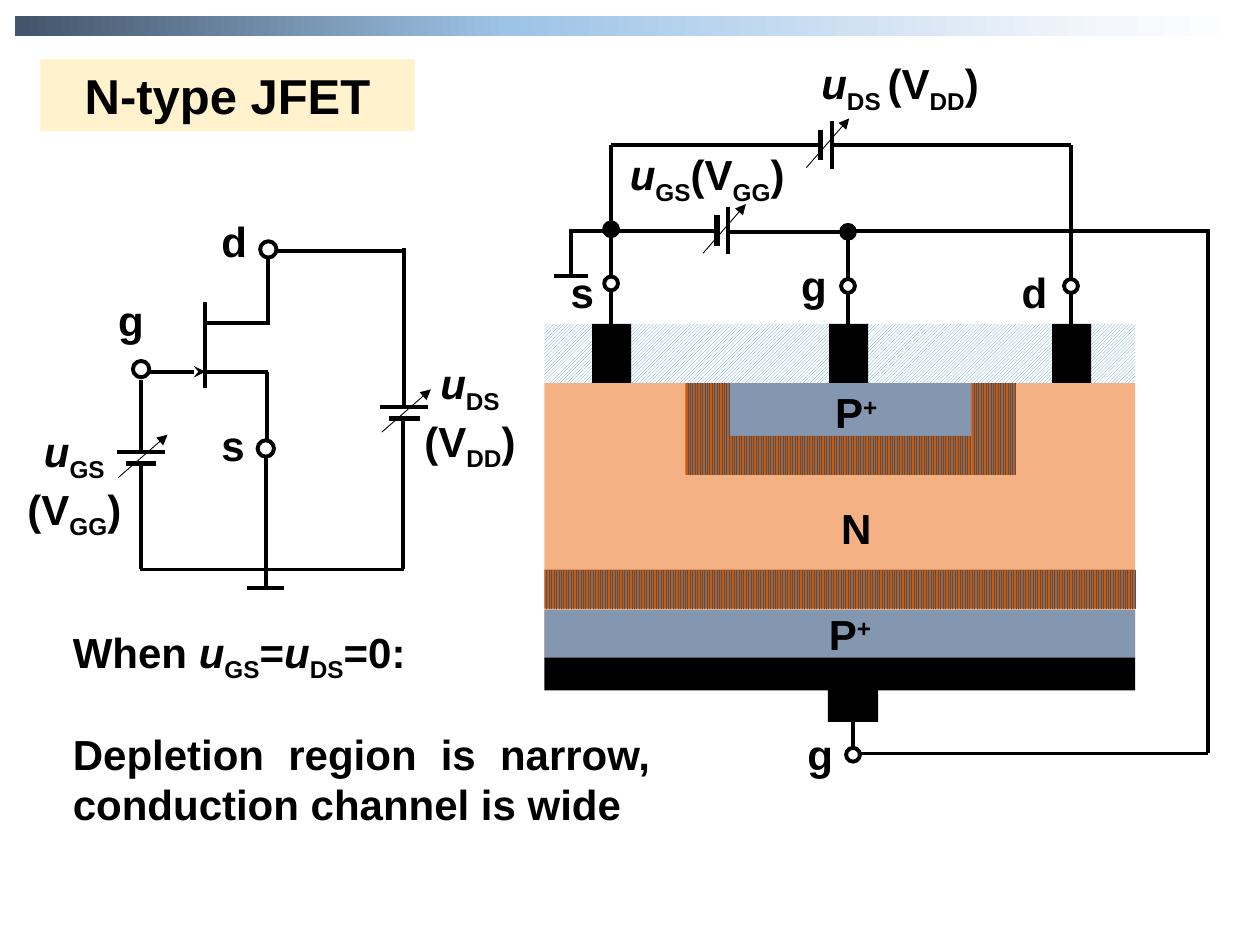
from copy import deepcopy

from lxml import etree
from pptx import Presentation
from pptx.dml.color import RGBColor
from pptx.enum.dml import MSO_PATTERN as Pattern
from pptx.enum.shapes import MSO_CONNECTOR as Connector, MSO_SHAPE as Shape
from pptx.enum.text import MSO_ANCHOR as Anchor, MSO_AUTO_SIZE as AutoSize, PP_ALIGN as Align
from pptx.oxml.ns import qn
from pptx.util import Inches, Pt

BLACK = RGBColor(0x00, 0x00, 0x00)
WHITE = RGBColor(0xFF, 0xFF, 0xFF)
SLATE = RGBColor(0x44, 0x54, 0x6A)
SKY = RGBColor(0x9D, 0xC3, 0xE6)
PALE = RGBColor(0xF4, 0xF7, 0xFC)
CREAM = RGBColor(0xFF, 0xF2, 0xCC)
BLUE = RGBColor(0x5B, 0x9B, 0xD5)
N_ORANGE = RGBColor(0xF4, 0xB1, 0x83)
P_BLUE = RGBColor(0x84, 0x97, 0xB0)
RUST = RGBColor(0xC5, 0x5A, 0x11)

BASELINES = {"sub": "-25000", "sup": "30000"}
U_GS = [("u", "italic"), ("GS", "sub")]
U_DS = [("u", "italic"), ("DS", "sub")]
V_GG = [("(V", ""), ("GG", "sub"), (")", "")]
V_DD = [("(V", ""), ("DD", "sub"), (")", "")]
P_PLUS = [("P", ""), ("+", "sup")]


def format_run(run, size=24, style=""):
    run.font.name = "Arial"
    run.font.size = Pt(size)
    run.font.bold = True
    run.font.italic = style == "italic"
    run.font.color.rgb = BLACK
    if style in BASELINES:
        run.font._element.set("baseline", BASELINES[style])


class Region:
    def __init__(self, slide, left, top):
        self.shapes, self.left, self.top = slide.shapes, left, top

    def place(self, x, y):
        return Inches(self.left + x), Inches(self.top + y)

    def box(self, x, y, width, height, color=None, kind=Shape.RECTANGLE):
        shape = self.shapes.add_shape(kind, *self.place(x, y), Inches(width), Inches(height))
        shape.shadow.inherit = False
        shape.line.fill.background()
        if color is not None:
            shape.fill.solid()
            shape.fill.fore_color.rgb = color
        return shape

    def hatch(self, x, y, width, height, pattern, front, back):
        fill = self.box(x, y, width, height).fill
        fill.patterned()
        fill.pattern = pattern
        fill.fore_color.rgb = front
        fill.back_color.rgb = back

    def ring(self, x, y, size=0.11, color=WHITE):
        shape = self.box(x - size / 2, y - size / 2, size, size, color, Shape.OVAL)
        shape.line.color.rgb = BLACK
        shape.line.width = Pt(2.25)

    def wire(self, x1, y1, x2, y2, width=2.25, arrow=None):
        line = self.shapes.add_connector(Connector.STRAIGHT, *self.place(x1, y1), *self.place(x2, y2))
        line.line.color.rgb = BLACK
        line.line.width = Pt(width)
        if arrow:
            etree.SubElement(line.line._get_or_add_ln(), qn("a:tailEnd"), type=arrow)
        etree.SubElement(line._element.spPr, qn("a:effectLst"))

    def wires(self, *segments):
        for segment in segments:
            self.wire(*segment)

    def battery(self, x, y, upright=True):
        parts = [
            (0, -0.19, 0, 0.19, 2.25, None),
            (-0.09, -0.12, -0.09, 0.12, 3, None),
            (-0.2, 0.18, 0.14, -0.21, 0.5, "triangle"),
        ]
        for x1, y1, x2, y2, width, arrow in parts:
            if not upright:
                x1, y1, x2, y2 = -y1, -x1, -y2, -x2
            self.wire(x + x1, y + y1, x + x2, y + y2, width, arrow)

    def text(self, x, y, width, height, *lines, align=Align.LEFT):
        frame = self.shapes.add_textbox(*self.place(x, y), Inches(width), Inches(height)).text_frame
        frame.word_wrap = True
        for index, line in enumerate(lines):
            paragraph = frame.add_paragraph() if index else frame.paragraphs[0]
            paragraph.alignment = align
            for wording, style in line:
                run = paragraph.add_run()
                run.text = wording
                format_run(run, style=style)

    def terminal_label(self, letter, x, y):
        self.text(x, y, 0.5, 0.5, [(letter, "")])


def draw_header(slide, left, top):
    region = Region(slide, left, top)
    fill = region.box(0, 0, 9.76, 0.16).fill
    fill.gradient()
    fill.gradient_angle = 0
    first = fill.gradient_stops[0]._gs
    for _ in range(2):
        first.addnext(deepcopy(first))
    stops = [(0, SLATE), (0.4, SKY), (0.89, PALE), (1, WHITE)]
    for stop, (position, color) in zip(fill.gradient_stops, stops):
        stop.position = position
        stop.color.rgb = color

    title = slide.shapes.title
    title.left, title.top = region.place(0.2, 0.34)
    title.width, title.height = Inches(2.97), Inches(0.57)
    title.fill.solid()
    title.fill.fore_color.rgb = CREAM
    frame = title.text_frame
    frame.text = "N-type JFET"
    frame.auto_size = AutoSize.NONE
    frame.vertical_anchor = Anchor.MIDDLE
    frame.paragraphs[0].alignment = Align.CENTER
    format_run(frame.paragraphs[0].runs[0], 28)


def draw_schematic(slide, left, top):
    region = Region(slide, left, top)
    region.wires(
        (1.53, 0.8, 1.53, 1.48), (1.53, 0.96, 2.03, 0.96), (2.03, 0.98, 2.03, 0.43),
        (1.53, 1.35, 2.03, 1.35), (2.02, 1.35, 2.02, 1.93), (1.09, 1.35, 1.53, 1.35, 2.25, "stealth"),
        (1.02, 1.42, 1.02, 1.99), (1.02, 2.07, 1.02, 2.92), (1.01, 2.92, 3.11, 2.92),
        (2.1, 0.39, 3.11, 0.39), (3.11, 0.37, 3.11, 1.63), (3.1, 1.74, 3.1, 2.92),
        (2.01, 2.03, 2.01, 3.07), (1.86, 3.07, 2.15, 3.07),
    )
    for letter, ring_x, ring_y, x, y in [
        ("d", 2.03, 0.38, 1.56, 0.06), ("g", 1.02, 1.33, 0.74, 0.69), ("s", 2.01, 1.96, 1.56, 1.68),
    ]:
        region.ring(ring_x, ring_y, 0.13)
        region.terminal_label(letter, x, y)
    region.battery(1.02, 1.99, upright=False)
    region.battery(3.11, 1.63, upright=False)
    region.text(-0.02, 1.73, 1.02, 1.07, U_GS, V_GG, align=Align.CENTER)
    region.text(3.12, 1.19, 1.02, 1.07, U_DS, V_DD, align=Align.CENTER)


def draw_device(slide, left, top):
    region = Region(slide, left, top)
    width = 4.69
    region.hatch(0, 0, width, 0.48, Pattern.LIGHT_UPWARD_DIAGONAL, BLUE, WHITE)
    for box in [
        (0, 0.47, width, 2.17, N_ORANGE), (0, 2.27, width, 0.39, P_BLUE),
        (0, 2.65, width, 0.26, BLACK), (2.25, 2.87, 0.4, 0.29, BLACK), (1.47, 0.47, 1.93, 0.42, P_BLUE),
    ]:
        region.box(*box)
    for depletion in [
        (1.45, 0.89, 1.94, 0.31), (1.12, 0.47, 0.35, 0.73), (3.39, 0.47, 0.35, 0.73), (0, 1.95, width, 0.31),
    ]:
        region.hatch(*depletion, Pattern.LIGHT_VERTICAL, SLATE, RUST)
    for x, y, label in [(2.08, 0.45, P_PLUS), (2.08, 1.37, [("N", "")]), (2.03, 2.21, P_PLUS)]:
        region.text(x, y, 0.79, 0.54, label, align=Align.CENTER)

    region.wires(
        (2.41, -0.35, 2.41, -0.74), (2.39, -0.74, 5.27, -0.74),
        (5.27, 3.41, 5.27, -0.75), (2.5, 3.41, 5.27, 3.41), (2.45, 3.02, 2.45, 3.39),
    )
    for letter, x, y, label_x, label_y in [
        ("s", 0.53, -0.32, 0.11, -0.5), ("g", 2.41, -0.3, 1.94, -0.56), ("d", 4.18, -0.3, 3.69, -0.5),
    ]:
        region.box(x - 0.15, 0, 0.31, 0.47, BLACK)
        region.wire(x, y + 0.04, x, 0.1)
        region.ring(x, y)
        region.terminal_label(letter, label_x, label_y)
    region.ring(2.45, 3.42)
    region.terminal_label("g", 1.99, 3.16)


def draw_bias_supply(slide, left, top):
    region = Region(slide, left, top)
    region.wires(
        (0.45, 0.75, 2.1, 0.75), (2.2, 0.75, 4.1, 0.75), (4.1, 1.82, 4.1, 0.75), (0.45, 0.75, 0.45, 1.81),
        (0.13, 1.43, 1.3, 1.43), (1.38, 1.44, 2.37, 1.44), (0.13, 1.42, 0.13, 1.79), (0, 1.79, 0.27, 1.79),
    )
    region.battery(2.2, 0.75)
    region.battery(1.38, 1.43)
    region.ring(0.45, 1.42, color=BLACK)
    region.ring(2.33, 1.44, color=BLACK)
    region.text(2.02, 0.01, 1.58, 0.59, [("u", "italic"), ("DS ", "sub")] + V_DD)
    region.text(0.5, 0.73, 1.44, 0.59, U_GS + V_GG)


def write_conclusion(slide, left, top):
    region = Region(slide, left, top)
    region.text(0, 0, 3.14, 0.59, [("When ", "")] + U_GS + [("=", "")] + U_DS + [("=0:", "")])
    conclusion = "Depletion region is narrow, conduction channel is wide"
    region.text(0, 0.81, 4.78, 0.88, [(conclusion, "")], align=Align.JUSTIFY)


presentation = Presentation()
presentation.slide_width, presentation.slide_height = Inches(10), Inches(7.5)
slide = presentation.slides.add_slide(presentation.slide_layouts[5])
draw_header(slide, 0.12, 0.13)
draw_device(slide, 4.32, 2.57)
draw_schematic(slide, 0.1, 1.6)
draw_bias_supply(slide, 4.4, 0.4)
write_conclusion(slide, 0.48, 4.92)
presentation.save("out.pptx")
